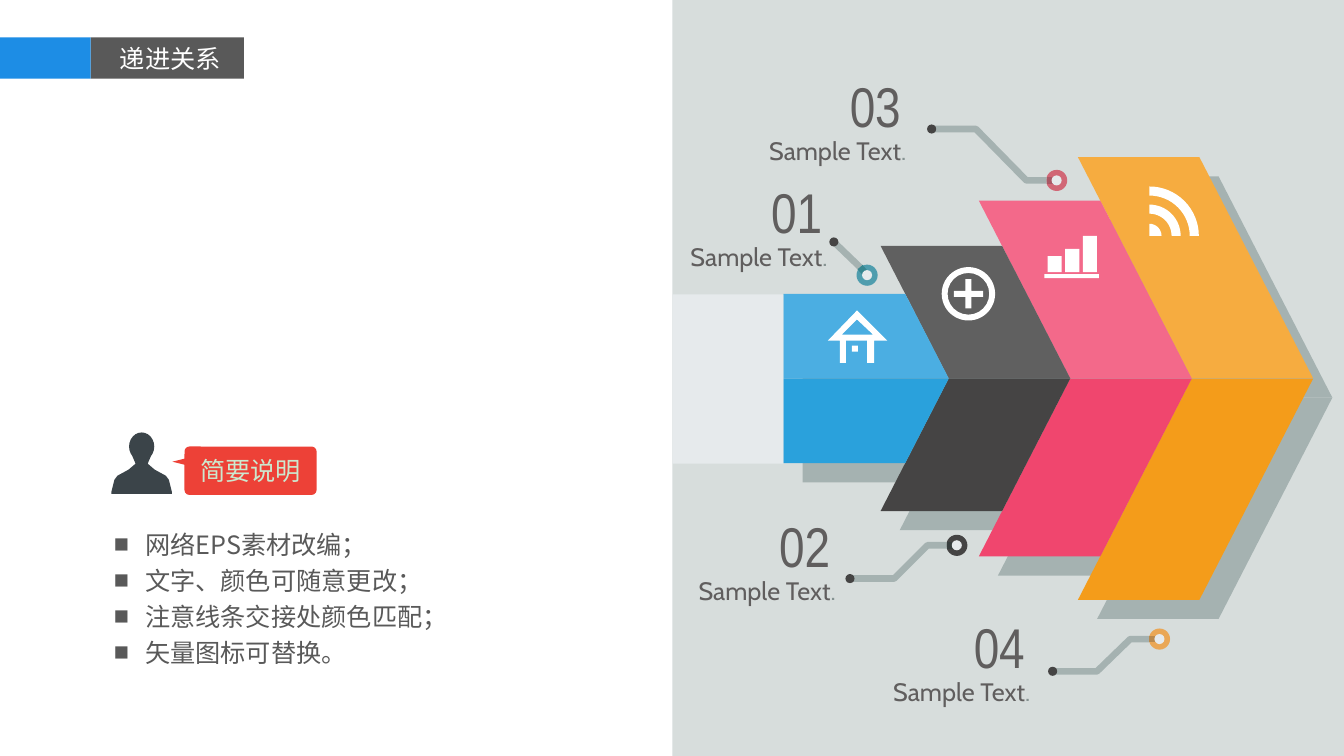
from math import cos, pi, sin

from lxml import etree
from pptx import Presentation
from pptx.dml.color import RGBColor
from pptx.enum.shapes import MSO_CONNECTOR, MSO_SHAPE as Preset
from pptx.enum.text import MSO_ANCHOR as Anchor, MSO_AUTO_SIZE as AutoSize, PP_ALIGN as Align
from pptx.oxml.ns import qn
from pptx.util import Inches, Pt

WHITE = RGBColor(0xFF, 0xFF, 0xFF)
PALE_GREEN = RGBColor(0xCC, 0xE8, 0xCF)
BLUE = RGBColor(0x1D, 0x8D, 0xE5)
GREY = RGBColor(0x59, 0x59, 0x59)
SLATE = RGBColor(0x3B, 0x44, 0x49)
RED = RGBColor(0xED, 0x41, 0x37)
PANEL = RGBColor(0xD7, 0xDD, 0xDC)
TAIL = RGBColor(0xE6, 0xEA, 0xEC)
SHADOW = RGBColor(0xA5, 0xB2, 0xB1)
CHARCOAL = RGBColor(0x45, 0x44, 0x44)
LABEL = RGBColor(0x60, 0x5E, 0x5E)
LABEL_DOT = RGBColor(0x85, 0x92, 0x91)
CJK = "Noto Sans CJK SC"

deck = Presentation()
deck.slide_width, deck.slide_height = Inches(13.33), Inches(7.5)
slide = deck.slides.add_slide(deck.slide_layouts[1])
shapes = slide.shapes
slide.background.fill.solid()
slide.background.fill.fore_color.rgb = WHITE


def block(preset, left, top, width, height, color):
    shape = shapes.add_shape(preset, Inches(left), Inches(top), Inches(width), Inches(height))
    shape.shadow.inherit = False
    shape.fill.solid()
    shape.fill.fore_color.rgb = color
    shape.line.fill.background()
    return shape


def polygon(color, *contours):
    """Fill closed contours given in inches; an inner contour is a hole."""
    scaled = [[(Inches(x), Inches(y)) for x, y in contour] for contour in contours]
    builder = shapes.build_freeform(*scaled[0][0], scale=1.0)
    for number, contour in enumerate(scaled):
        if number:
            builder.move_to(*contour[0])
        builder.add_line_segments(contour[1:], close=True)
    shape = builder.convert_to_shape()
    shape.shadow.inherit = False
    shape.fill.solid()
    shape.fill.fore_color.rgb = color
    shape.line.fill.background()


texts = []  # (paragraph, text, size, font, colour)

# Heading
block(Preset.RECTANGLE, 0, 0.37, 0.9, 0.41, BLUE)
title = shapes.title
title.left, title.top, title.width, title.height = map(Inches, (0.9, 0.37, 1.52, 0.41))
title.fill.solid()
title.fill.fore_color.rgb = GREY
heading = title.text_frame
heading.auto_size = AutoSize.NONE
heading.vertical_anchor = Anchor.MIDDLE
heading.margin_left = Inches(0.29)
heading.margin_right = heading.margin_top = heading.margin_bottom = 0
heading.paragraphs[0].alignment = Align.LEFT
texts.append((heading.paragraphs[0], "递进关系", 18, "Arial", WHITE))

# Speaker and speech bubble
block(Preset.OVAL, 1.28, 4.29, 0.25, 0.28, SLATE)
half_body = [(0.06, 4.5), (0.09, 4.53), (0.06, 4.6), (0.13, 4.66),
             (0.24, 4.72), (0.27, 4.76), (0.3, 4.88), (0.3, 4.9)]
polygon(SLATE, [(1.405 + x, y) for x, y in half_body]
        + [(1.405 - x, y) for x, y in reversed(half_body)])
bubble = block(Preset.ROUNDED_RECTANGLE, 1.83, 4.43, 1.31, 0.48, RED)
bubble.adjustments[0] = 0.1
speech = bubble.text_frame
speech.margin_left = speech.margin_right = speech.margin_top = speech.margin_bottom = 0
speech.vertical_anchor = Anchor.MIDDLE
speech.paragraphs[0].alignment = Align.CENTER
texts.append((speech.paragraphs[0], "简要说明", 18, CJK, PALE_GREEN))
block(Preset.ISOSCELES_TRIANGLE, 1.75, 4.5, 0.08, 0.16, RED).rotation = 270

# Notes list
body = slide.placeholders[1]
body.left, body.top, body.width, body.height = map(Inches, (1.03, 5.14, 3.89, 1.56))
notes = body.text_frame
notes.auto_size = AutoSize.NONE
notes.vertical_anchor = Anchor.TOP
for number, note in enumerate(["网络EPS素材改编；", "文字、颜色可随意更改；",
                               "注意线条交接处颜色匹配；", "矢量图标可替换。"]):
    item = notes.add_paragraph() if number else notes.paragraphs[0]
    item.alignment = Align.LEFT
    item.line_spacing = Pt(25.7)
    item.space_before = Pt(0)
    properties = item._p.get_or_add_pPr()
    properties.set("marL", str(Inches(0.31)))
    properties.set("indent", str(Inches(-0.31)))
    etree.SubElement(properties, qn("a:buFont")).set("typeface", "Arial")
    etree.SubElement(properties, qn("a:buChar")).set("char", "■")
    texts.append((item, note, 18, CJK, GREY))

# Arrow: half height, upper and lower colour of each step
block(Preset.RECTANGLE, 6.67, 0, 6.67, 7.5, PANEL)
MIDDLE, STEP, SLOPE, DROP = 3.755, 1.205, 0.514, 0.19
steps = [
    (0.84, RGBColor(0x4B, 0xAE, 0xE2), RGBColor(0x2A, 0xA1, 0xDC)),
    (1.315, RGBColor(0x60, 0x60, 0x60), CHARCOAL),
    (1.765, RGBColor(0xF3, 0x69, 0x8A), RGBColor(0xF0, 0x46, 0x6E)),
    (2.195, RGBColor(0xF6, 0xAC, 0x40), RGBColor(0xF4, 0x9C, 0x1A)),
]
halves = []
for number, (height, upper, lower) in enumerate(steps):
    tip = 9.41 + STEP * number
    notch = tip - STEP if number else 7.77
    corner = notch - SLOPE * height if number else notch
    for side, color in ((-1, upper), (1, lower)):
        edge = MIDDLE + side * height
        halves.append((color, [(corner, edge), (tip - SLOPE * height, edge),
                               (tip, MIDDLE), (notch, MIDDLE)]))
for _, outline in halves:
    polygon(SHADOW, [(x + DROP, y + DROP) for x, y in outline])
for color, outline in reversed(halves):
    polygon(color, outline)
block(Preset.RECTANGLE, 6.67, 2.92, 1.1, 1.68, TAIL)

# Callouts: label position, ring colour, overlap colour, dot to ring centre
callouts = [
    ("01", 6.75, 2.34, RGBColor(0x4F, 0x9D, 0xAE), RGBColor(0x37, 0x86, 0x90),
     [(8.27, 2.4), (8.53, 2.65), (8.6, 2.73)]),
    ("02", 6.83, 5.66, CHARCOAL, RGBColor(0x37, 0x3E, 0x3E),
     [(8.43, 5.74), (8.87, 5.74), (9.2, 5.41), (9.39, 5.41), (9.49, 5.41)]),
    ("03", 7.53, 1.29, RGBColor(0xD1, 0x67, 0x76), RGBColor(0xA9, 0x58, 0x65),
     [(9.24, 1.28), (9.68, 1.28), (10.18, 1.79), (10.38, 1.79), (10.48, 1.79)]),
    ("04", 8.76, 6.66, RGBColor(0xEA, 0xA7, 0x56), RGBColor(0xBA, 0x89, 0x4D),
     [(10.44, 6.66), (10.88, 6.66), (11.21, 6.34), (11.4, 6.34), (11.5, 6.34)]),
]
for number, left, top, ring, overlap, route in callouts:
    (dot_x, dot_y), (ring_x, ring_y) = route[0], route[-1]
    block(Preset.OVAL, ring_x - 0.105, ring_y - 0.105, 0.21, 0.21, ring)
    points = [(Inches(x), Inches(y)) for x, y in route]
    builder = shapes.build_freeform(*points[0], scale=1.0)
    builder.add_line_segments(points[1:-1], close=False)
    stem = builder.convert_to_shape()
    stem.shadow.inherit = False
    stem.fill.background()
    stem.line.color.rgb = SHADOW
    stem.line.width = Pt(4.7)
    inner = shapes.add_connector(MSO_CONNECTOR.STRAIGHT, *points[-2], *points[-1])
    etree.SubElement(inner._element.spPr, qn("a:effectLst"))
    inner.line.color.rgb = overlap
    inner.line.width = Pt(4.7)
    block(Preset.OVAL, ring_x - 0.05, ring_y - 0.05, 0.1, 0.1, TAIL)
    block(Preset.OVAL, dot_x - 0.045, dot_y - 0.045, 0.09, 0.09, CHARCOAL)
    for box, parts in (
        ((left + 0.8, top - 0.63, 0.8, 0.77), [(number, 40, "Arial Narrow", LABEL)]),
        ((left, top, 1.64, 0.4), [("Sample Text", 18, "Cabin", LABEL),
                                  (".", 18, "Cabin", LABEL_DOT)]),
    ):
        caption = shapes.add_textbox(*map(Inches, box)).text_frame
        caption.word_wrap = True
        texts += [(caption.paragraphs[0], *part) for part in parts]

# Icons: signal, plus, house, bars
for inner_radius, outer_radius in ((0, 0.12), (0.22, 0.31), (0.4, 0.49)):
    angles = [pi / 2 * k / 16 for k in range(17)]
    polygon(WHITE, [(11.4 + outer_radius * sin(a), 2.34 - outer_radius * cos(a)) for a in angles]
            + [(11.4 + inner_radius * sin(a), 2.34 - inner_radius * cos(a))
               for a in reversed(angles)])
block(Preset.DONUT, 9.34, 2.65, 0.53, 0.53, WHITE).adjustments[0] = 0.11
block(Preset.CROSS, 9.46, 2.77, 0.29, 0.29, WHITE).adjustments[0] = 0.4
polygon(WHITE,
        [(8.5, 3.08), (8.21, 3.38), (8.33, 3.38), (8.33, 3.6), (8.39, 3.6), (8.39, 3.38),
         (8.6, 3.38), (8.6, 3.6), (8.67, 3.6), (8.67, 3.38), (8.8, 3.38)],
        [(8.35, 3.32), (8.5, 3.17), (8.66, 3.32)])
block(Preset.RECTANGLE, 8.45, 3.43, 0.06, 0.06, WHITE)
block(Preset.RECTANGLE, 10.36, 2.72, 0.54, 0.04, WHITE)
for number, bar_top in enumerate((2.54, 2.47, 2.34)):
    block(Preset.RECTANGLE, 10.39 + 0.175 * number, bar_top, 0.14, 2.7 - bar_top, WHITE)

for paragraph, text, size, font, color in texts:
    run = paragraph.add_run()
    run.text = text
    run.font.size = Pt(size)
    run.font.name = font
    run.font.color.rgb = color
    etree.SubElement(run._r.get_or_add_rPr(), qn("a:ea")).set("typeface", CJK)

deck.save("out.pptx")
